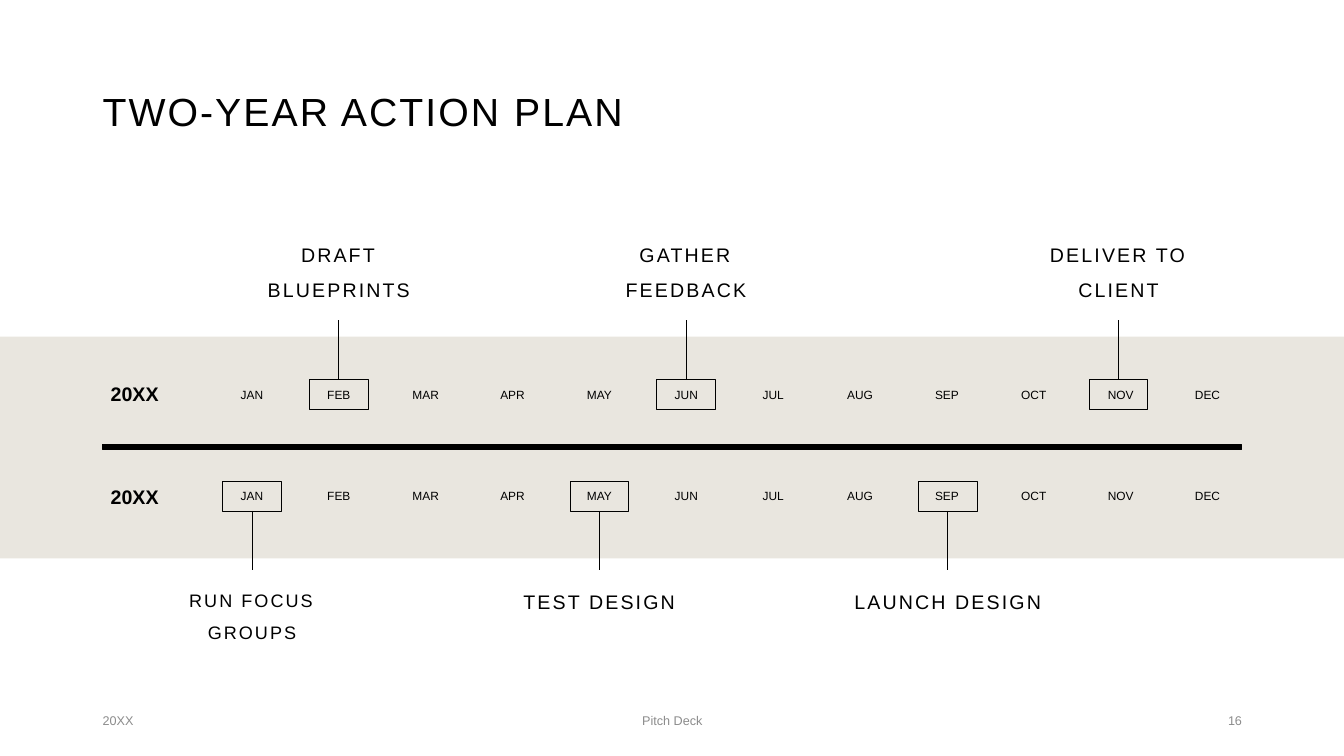
from pptx import Presentation
from pptx import util as u
from pptx.dml import color
from pptx.enum import shapes, text
from pptx.oxml import ns, xmlchemy

BLACK, SAND, GREY = "000000", "E9E6DF", "8C8C8C"
LEFT, MID, RIGHT = text.PP_ALIGN.LEFT, text.PP_ALIGN.CENTER, text.PP_ALIGN.RIGHT
TOP, CORE, BASE = text.MSO_ANCHOR.TOP, text.MSO_ANCHOR.MIDDLE, text.MSO_ANCHOR.BOTTOM
MONTHS = "JAN FEB MAR APR MAY JUN JUL AUG SEP OCT NOV DEC".split()


def rgb(code):
    return color.RGBColor.from_string(code)


def apply(item, form):
    for key, val in form.items():
        setattr(item, key, val)


class Plan:
    """Draws the elements of a two-year plan on the current slide."""

    def __init__(self, slide, face="Arial"):
        self.slide = slide
        self.face = face

    def label(self, words, area, size, align=LEFT, anchor=CORE, tint=BLACK,
              bold=False, track=0, **para):
        box = self.slide.shapes.add_textbox(*map(u.Pt, area))
        apply(box.text_frame, {"word_wrap": True, "vertical_anchor": anchor})
        line = box.text_frame.paragraphs[0]
        apply(line, {"alignment": align, **para})
        run = line.add_run()
        run.text = words
        apply(run.font, {"name": self.face, "size": u.Pt(size), "bold": bold})
        run.font.color.rgb = rgb(tint)
        if track:
            run.font._element.set("spc", str(int(track * 100)))

    def rect(self, area, fill=None, edge=None, width=0.5):
        box = self.slide.shapes.add_shape(shapes.MSO_SHAPE.RECTANGLE, *map(u.Pt, area))
        box.shadow.inherit = False
        for part, tint in ((box.fill, fill), (box.line.fill, edge)):
            if tint:
                part.solid()
                part.fore_color.rgb = rgb(tint)
            else:
                part.background()
        if edge:
            box.line.width = u.Pt(width)

    def stem(self, x, top, end):
        line = self.slide.shapes.add_connector(
            shapes.MSO_CONNECTOR.STRAIGHT, *map(u.Pt, (x, top, x, end)))
        line.line.color.rgb = rgb(BLACK)
        line.line.width = u.Pt(0.5)
        line._element.spPr.append(xmlchemy.OxmlElement("a:effectLst"))

    def year(self, name, top, row):
        self.label(name, (72, top, 57.6, 36), 14, bold=True,
                   line_spacing=0.9, space_before=u.Pt(10))
        for i, month in enumerate(MONTHS):
            self.label(month, (154.8 + 62.05 * i, row, 50.4, 15.84), 8.5, MID, TOP,
                       line_spacing=0.7, space_before=u.Pt(10))

    def event(self, words, x, above, size=14):
        box, stem, note = (270.72, 228.7, 175) if above else (343.5, 365, 409.7)
        self.rect((x - 20.9, box, 41.8, 21.8), edge=BLACK)
        self.stem(x, stem, stem + 42.2)
        self.label(words, (x - 81, note, 162, 43.9), size, MID, BASE if above else TOP,
                   track=1.5, line_spacing=1.5, space_before=u.Pt(10))


def main():
    deck = Presentation()
    apply(deck, {"slide_width": u.Pt(960), "slide_height": u.Pt(540)})
    plan = Plan(deck.slides.add_slide(deck.slide_layouts[6]))
    plan.rect((0, 240.5, 960, 158.4), SAND)
    plan.rect((73.4, 317.5, 813.6, 3.6), BLACK, BLACK, 1)
    plan.label("TWO-YEAR ACTION PLAN", (66.24, 28.8, 828, 104.4), 28,
               track=1.5, line_spacing=0.9)
    plan.year("20XX", 264.24, 275.76)
    plan.year("20XX", 337.7, 348.5)
    for words, x in (("DRAFT BLUEPRINTS", 242), ("GATHER FEEDBACK", 490),
                     ("DELIVER TO CLIENT", 799)):
        plan.event(words, x, True)
    for words, x, size in (("RUN FOCUS GROUPS", 180, 12.9), ("TEST DESIGN", 428, 14),
                           ("LAUNCH DESIGN", 677, 14)):
        plan.event(words, x, False, size)
    for words, x, width, align in (("20XX", 66.24, 216, LEFT),
                                   ("Pitch Deck", 318.24, 324, MID),
                                   ("16", 678.24, 216, RIGHT)):
        plan.label(words, (x, 500.4, width, 28.8), 9, align, tint=GREY)
    deck.save("out.pptx")


if __name__ == "__main__":
    main()
